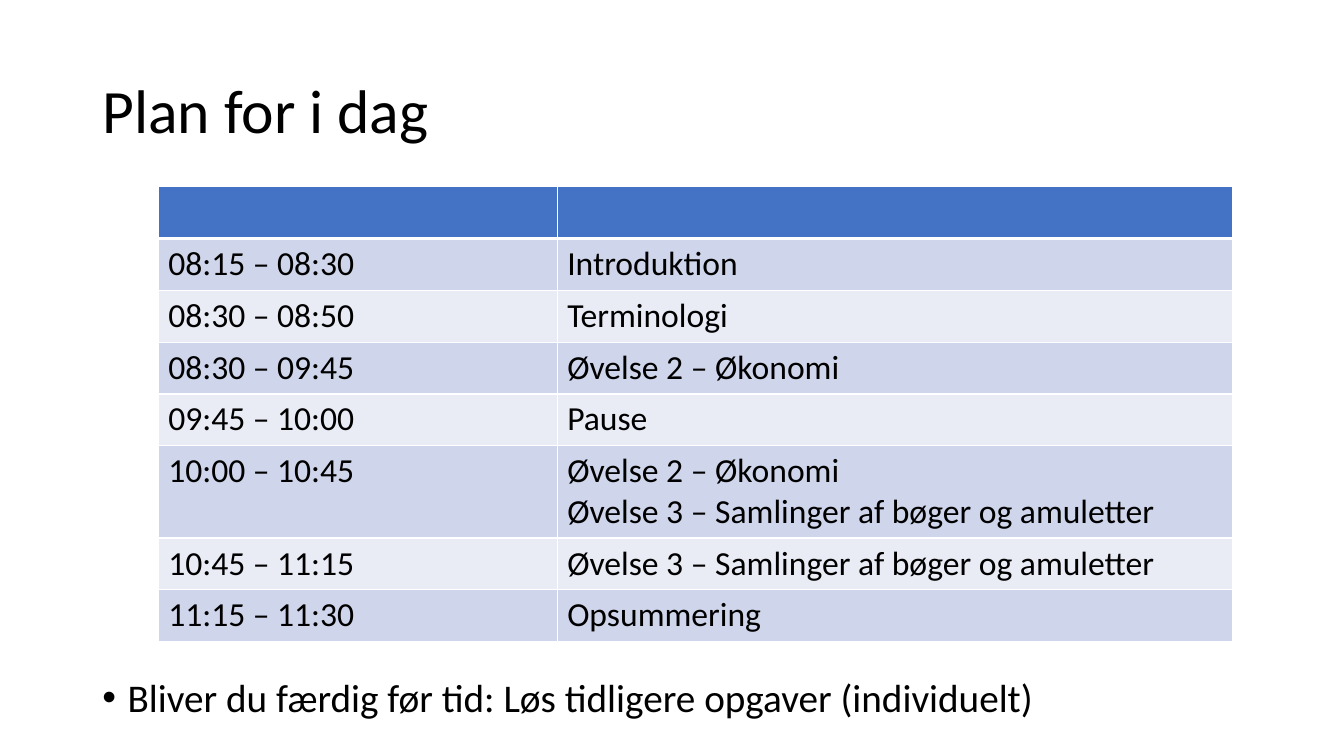
from lxml.etree import SubElement
from pptx import Presentation
from pptx.dml.color import RGBColor
from pptx.enum.text import MSO_ANCHOR as Anchor, MSO_AUTO_SIZE as AutoSize, PP_ALIGN as Align
from pptx.oxml.ns import qn
from pptx.util import Pt

# Content
TITLE = "Plan for i dag"
NOTE = "Bliver du færdig før tid: Løs tidligere opgaver (individuelt)"
PLAN = [
    ("", []),
    ("08:15 – 08:30", ["Introduktion"]),
    ("08:30 – 08:50", ["Terminologi"]),
    ("08:30 – 09:45", ["Øvelse 2 – Økonomi"]),
    ("09:45 – 10:00", ["Pause"]),
    ("10:00 – 10:45", ["Øvelse 2 – Økonomi", "Øvelse 3 – Samlinger af bøger og amuletter"]),
    ("10:45 – 11:15", ["Øvelse 3 – Samlinger af bøger og amuletter"]),
    ("11:15 – 11:30", ["Opsummering"]),
]
HEADER, BANDS = "4472C4", ("E9EBF5", "CFD5EA")
COLUMNS = (285, 482.4)
ROW, EXTRA_LINE = 37, 29


def color(value):
    return RGBColor.from_string(value)


def write(tf, lines, size, spacing=None, before=None):
    for i, line in enumerate(lines):
        p = tf.paragraphs[0] if i == 0 else tf.add_paragraph()
        p.alignment, p.line_spacing = Align.LEFT, spacing
        if before is not None:
            p.space_before = Pt(before)
        r = p.add_run()
        r.text = line
        r.font.name, r.font.size = "Calibri", Pt(size)
        r.font.color.rgb = color("000000")


def place(sp, left, top, width, height, anchor):
    sp.left, sp.top, sp.width, sp.height = Pt(left), Pt(top), Pt(width), Pt(height)
    tf = sp.text_frame
    tf.auto_size, tf.word_wrap, tf.vertical_anchor = AutoSize.NONE, True, anchor
    return tf


def fill_cell(cell, fill, bottom):
    # Borders come before the fill in the cell properties
    tcPr = cell._tc.get_or_add_tcPr()
    for side in ("L", "R", "T", "B"):
        width = bottom if side == "B" else 1
        ln = SubElement(tcPr, qn(f"a:ln{side}"), w=str(Pt(width)))
        SubElement(SubElement(ln, qn("a:solidFill")), qn("a:srgbClr"), val="FFFFFF")
    cell.fill.solid()
    cell.fill.fore_color.rgb = color(fill)


prs = Presentation()
prs.slide_width, prs.slide_height = Pt(960), Pt(540)
s = prs.slides.add_slide(prs.slide_layouts[1])

# Title
write(place(s.shapes.title, 66, 28.8, 828, 104.4, Anchor.MIDDLE), [TITLE], 44, 0.9)

# Timetable
heights = [ROW + EXTRA_LINE * max(len(lines) - 1, 0) for _, lines in PLAN]
frame = s.shapes.add_table(len(PLAN), 2, Pt(113), Pt(133.4), Pt(sum(COLUMNS)), Pt(sum(heights)))
table = frame.table
for column, width in zip(table.columns, COLUMNS):
    column.width = Pt(width)
for i, (time, lines) in enumerate(PLAN):
    table.rows[i].height = Pt(heights[i])
    for j, content in enumerate(([time] if time else [], lines)):
        cell = table.cell(i, j)
        write(cell.text_frame, content, 24)
        fill_cell(cell, BANDS[i % 2] if i else HEADER, 1 if i else 3)

# Note below the timetable
tf = place(s.placeholders[1], 66, 481, 828, 40.3, Anchor.TOP)
write(tf, [NOTE], 28, 0.9, 10)
pPr = tf.paragraphs[0]._p.get_or_add_pPr()
pPr.set("marL", str(Pt(18)))
pPr.set("indent", str(Pt(-18)))
SubElement(pPr, qn("a:buFont"), typeface="Arial")
SubElement(pPr, qn("a:buChar"), char="•")

prs.save("out.pptx")
